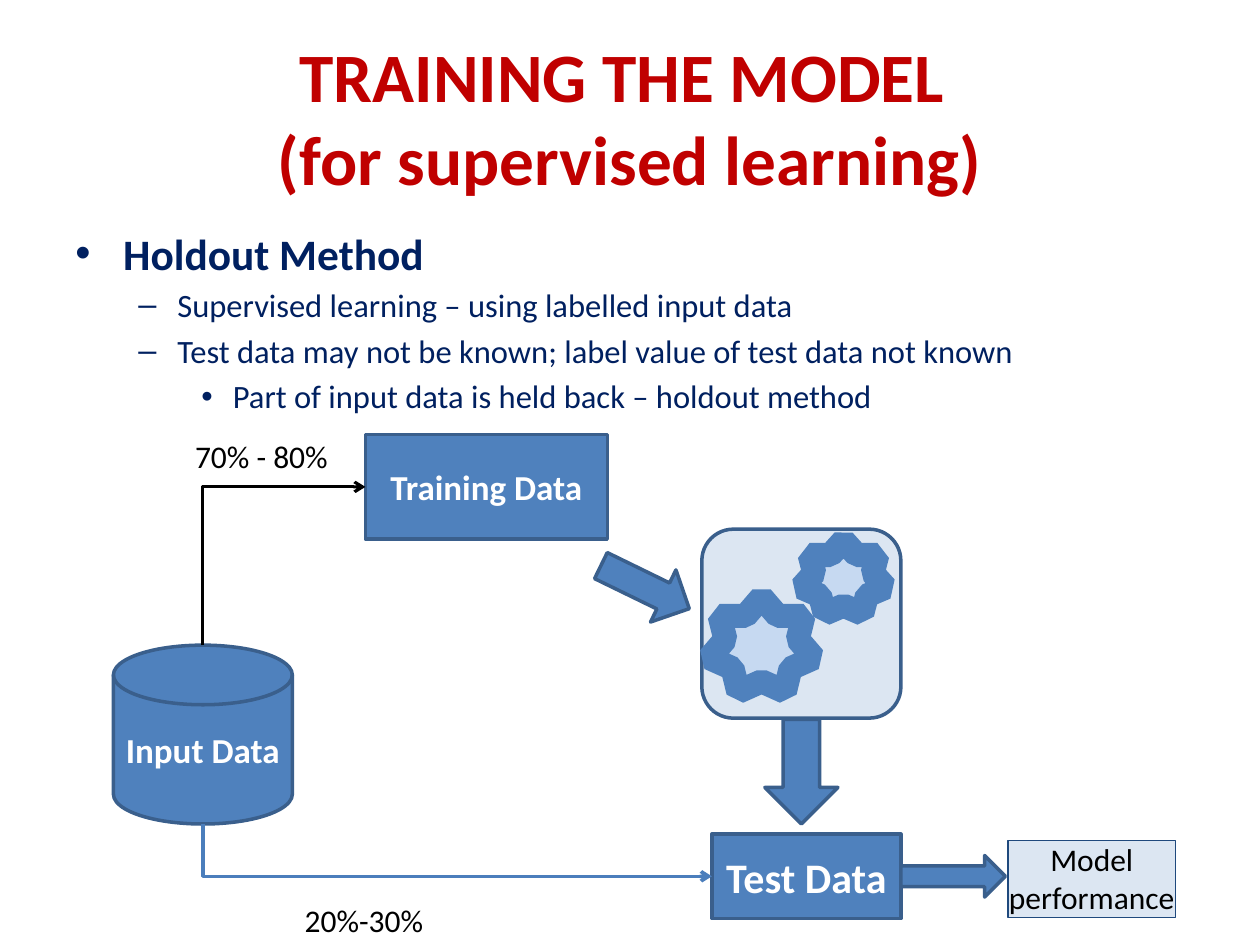
from lxml.etree import SubElement
from pptx import Presentation
from pptx.dml.color import RGBColor
from pptx.enum.shapes import MSO_CONNECTOR, MSO_SHAPE
from pptx.enum.text import MSO_ANCHOR, PP_ALIGN
from pptx.oxml.ns import qn
from pptx.util import Inches, Pt

RED = RGBColor(0xC0, 0x00, 0x00)
NAVY = RGBColor(0x00, 0x20, 0x60)
BLUE = RGBColor(0x4F, 0x81, 0xBD)
DARK_BLUE = RGBColor(0x3A, 0x5F, 0x8C)
LINE_BLUE = RGBColor(0x4B, 0x7E, 0xBC)
DEEP_BLUE = RGBColor(0x1F, 0x49, 0x7D)
PALE_BLUE = RGBColor(0xDC, 0xE6, 0xF2)
GEAR_BLUE = RGBColor(0xC6, 0xD9, 0xF1)
WHITE = RGBColor(0xFF, 0xFF, 0xFF)
BLACK = RGBColor(0x00, 0x00, 0x00)

# Content: boxes are left, top, width, height in inches
TITLE = "TRAINING THE MODEL \n(for supervised learning)"
BULLETS = [  # level, text
    (0, "Holdout Method"),
    (1, "Supervised learning – using labelled input data"),
    (1, "Test data may not be known; label value of test data not known"),
    (2, "Part of input data is held back – holdout method"),
]
LEVELS = [  # bullet, left indent, hanging indent, size, bold
    ("•", 0.38, 0.38, 24.8, True),
    ("–", 0.81, 0.31, 18.6, False),
    ("•", 1.25, 0.25, 18.6, False),
]
INPUT_BOX = (0.9, 5.12, 1.42, 1.42)
TRAINING_BOX = (2.9, 3.45, 1.92, 0.83)
TEST_BOX = (5.65, 6.62, 1.5, 0.67)
STAGES = [  # preset, box, text, size
    (MSO_SHAPE.FLOWCHART_MAGNETIC_DISK, INPUT_BOX, "Input Data", 20),
    (MSO_SHAPE.RECTANGLE, TRAINING_BOX, "Training Data", 20),
    (MSO_SHAPE.RECTANGLE, TEST_BOX, "Test Data", 24),
]
MODEL_BOX = (5.57, 4.2, 1.58, 1.5)
GEARS = [(5.63, 4.74, 0.83, 0.75), (6.36, 4.29, 0.67, 0.58)]
BLOCK_ARROWS = [  # preset, box, rotation
    (MSO_SHAPE.DOWN_ARROW, (6.07, 5.71, 0.58, 0.83), 0),
    (MSO_SHAPE.RIGHT_ARROW, (7.15, 6.79, 0.83, 0.33), 0),
    (MSO_SHAPE.UP_ARROW, (4.89, 4.27, 0.46, 0.78), 116),
]
SHARES = [("70% - 80%", (1.45, 3.42, 1.27, 0.4)), ("20%-30%", (2.32, 7.1, 1.15, 0.4))]
RESULT_BOX = (8, 6.67, 1.33, 0.61)

presentation = Presentation()
presentation.slide_width, presentation.slide_height = Inches(10), Inches(7.5)
slide = presentation.slides.add_slide(presentation.slide_layouts[6])


def write(paragraph, text, size, color, bold=False, align=PP_ALIGN.LEFT):
    paragraph.text = text
    paragraph.alignment = align
    font = paragraph.font
    font.name, font.size, font.bold = "Calibri", Pt(size), bold
    font.color.rgb = color


def add_text_box(box, anchor=MSO_ANCHOR.TOP, wrap=True):
    frame = slide.shapes.add_textbox(*map(Inches, box)).text_frame
    frame.word_wrap = wrap
    frame.vertical_anchor = anchor
    return frame


def add_block(preset, box, fill=BLUE, line=DARK_BLUE, line_width=2):
    shape = slide.shapes.add_shape(preset, *map(Inches, box))
    shape.shadow.inherit = False
    shape.fill.solid()
    shape.fill.fore_color.rgb = fill
    shape.line.color.rgb = line
    shape.line.width = Pt(line_width)
    return shape


def add_elbow(start, end, color, width):
    """Arrow that leaves start vertically and reaches end horizontally."""
    (x1, y1), (x2, y2) = start, end
    center_x, center_y = (x1 + x2) / 2, (y1 + y2) / 2
    half_width, half_height = abs(y2 - y1) / 2, (x2 - x1) / 2
    rises = y2 < y1
    if rises:
        half_height = -half_height
    # The bent preset runs across first, so it is flipped and turned a quarter
    connector = slide.shapes.add_connector(
        MSO_CONNECTOR.ELBOW,
        Inches(center_x + half_width), Inches(center_y - half_height),
        Inches(center_x - half_width), Inches(center_y + half_height))
    connector.line.color.rgb = color
    connector.line.width = Pt(width)
    properties = connector._element.spPr
    properties.find(qn("a:xfrm")).set("rot", str((90 if rises else 270) * 60000))
    properties.find(qn("a:prstGeom")).set("prst", "bentConnector2")
    SubElement(properties.find(qn("a:ln")), qn("a:tailEnd"), type="arrow")
    SubElement(properties, qn("a:effectLst"))


# Title
frame = add_text_box((0.5, 0.3, 9, 1.25), MSO_ANCHOR.MIDDLE)
write(frame.paragraphs[0], TITLE.replace("\n", "\v"), 39.6, RED, True, PP_ALIGN.CENTER)

# Bullets
frame = add_text_box((0.5, 1.75, 9, 1.42))
for index, (level, text) in enumerate(BULLETS):
    bullet, indent, hanging, size, bold = LEVELS[level]
    paragraph = frame.add_paragraph() if index else frame.paragraphs[0]
    paragraph.level = level
    if index:
        paragraph.space_before = Pt(size * 0.2)
    properties = paragraph._p.get_or_add_pPr()
    properties.set("marL", str(Inches(indent)))
    properties.set("indent", str(-Inches(hanging)))
    SubElement(properties, qn("a:buFont"), typeface="Arial")
    SubElement(properties, qn("a:buChar"), char=bullet)
    write(paragraph, text, size, NAVY, bold)

# Data stages
for preset, box, text, size in STAGES:
    frame = add_block(preset, box).text_frame
    frame.word_wrap = True
    frame.vertical_anchor = MSO_ANCHOR.MIDDLE
    write(frame.paragraphs[0], text, size, WHITE, True, PP_ALIGN.CENTER)

# Model with its gears
add_block(MSO_SHAPE.ROUNDED_RECTANGLE, MODEL_BOX, PALE_BLUE)
for box in GEARS:
    gear = add_block(MSO_SHAPE.STAR_7_POINT, box, GEAR_BLUE, BLUE, 13.75)
    SubElement(gear._element.spPr.find(qn("a:ln")), qn("a:bevel"))

# Arrows
for preset, box, rotation in BLOCK_ARROWS:
    add_block(preset, box).rotation = rotation
left, top, width, height = INPUT_BOX
middle = left + width / 2
add_elbow((middle, top), (TRAINING_BOX[0], TRAINING_BOX[1] + TRAINING_BOX[3] / 2), BLACK, 1.75)
add_elbow((middle, top + height), (TEST_BOX[0], TEST_BOX[1] + TEST_BOX[3] / 2), LINE_BLUE, 2)

# Share labels
for text, box in SHARES:
    write(add_text_box(box, wrap=False).paragraphs[0], text, 18, BLACK)

# Result
frame = add_block(MSO_SHAPE.RECTANGLE, RESULT_BOX, PALE_BLUE, DEEP_BLUE, 0.75).text_frame
frame.word_wrap = True
frame.vertical_anchor = MSO_ANCHOR.TOP
frame.margin_left = frame.margin_right = frame.margin_top = frame.margin_bottom = 0
write(frame.paragraphs[0], "Model performance", 18, BLACK, align=PP_ALIGN.CENTER)

presentation.save("out.pptx")
